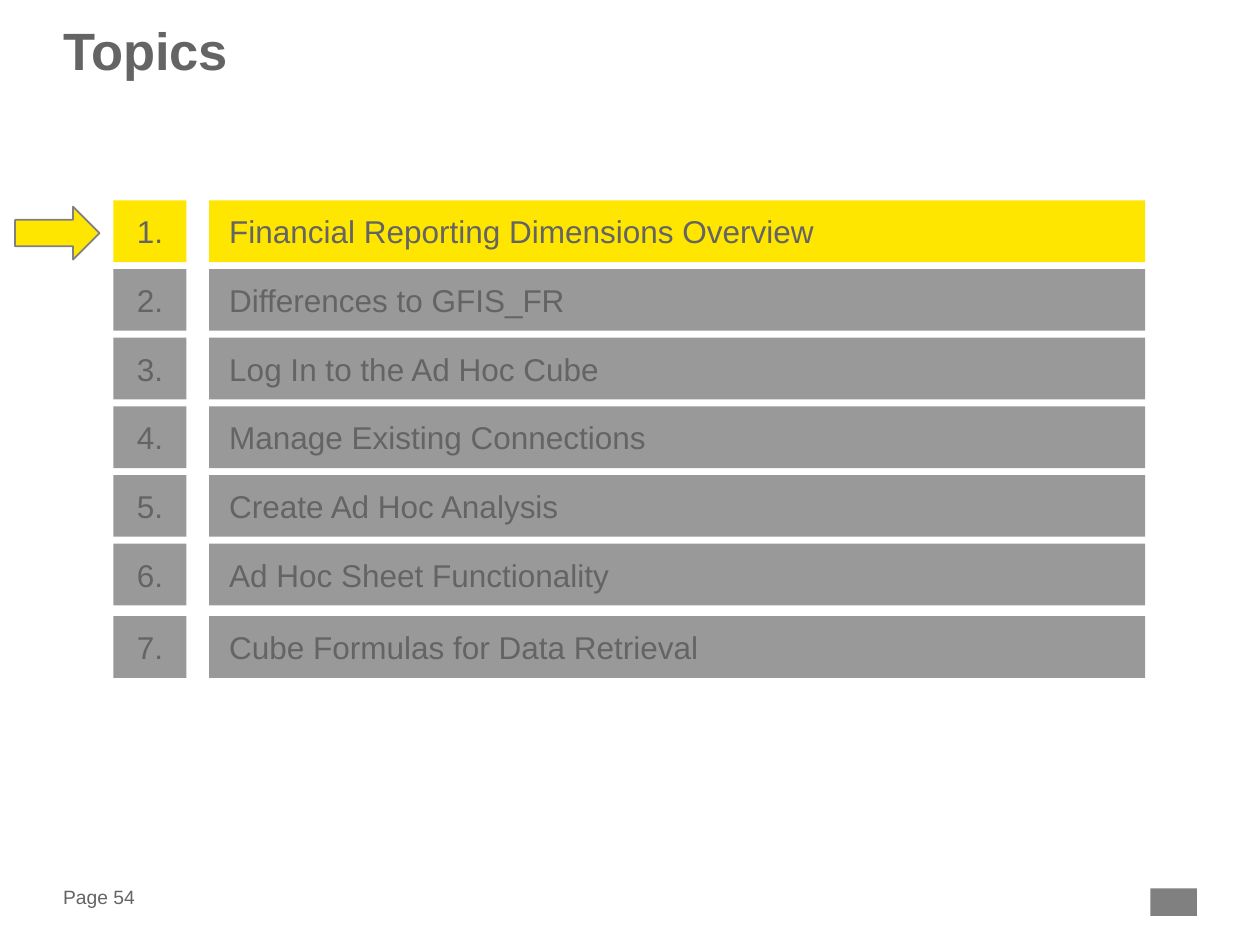
"""Build the topics slide with the first topic highlighted."""
from dataclasses import dataclass

from pptx import Presentation
from pptx.dml.color import RGBColor
from pptx.enum.shapes import MSO_SHAPE
from pptx.enum.text import MSO_ANCHOR, MSO_AUTO_SIZE, PP_ALIGN
from pptx.util import Inches, Pt

COLUMNS, ROWS = 100, 75
TOPICS = [
    "Financial Reporting Dimensions Overview",
    "Differences to GFIS_FR",
    "Log In to the Ad Hoc Cube",
    "Manage Existing Connections",
    "Create Ad Hoc Analysis",
    "Ad Hoc Sheet Functionality",
    "Cube Formulas for Data Retrieval",
]
CURRENT_TOPIC = 1
FIRST_ROW, ROW_PITCH, ROW_HEIGHT, LAST_ROW_GAP = 15.9, 5.45, 4.9, 0.3


@dataclass(frozen=True)
class Theme:
    font: str = "Arial"
    text: str = "646464"
    highlight: str = "FFE600"
    bar: str = "999999"
    outline: str = "808080"
    title_size: int = 30
    topic_size: int = 18
    footer_size: int = 11


def format_text(frame, text, size, color, font, bold=False, align=PP_ALIGN.LEFT,
                anchor=MSO_ANCHOR.MIDDLE, side=0, edge=0, spacing=None):
    frame.word_wrap = True
    frame.auto_size = MSO_AUTO_SIZE.NONE
    frame.vertical_anchor = anchor
    frame.margin_left = frame.margin_right = Inches(side)
    frame.margin_top = frame.margin_bottom = Inches(edge)
    paragraph = frame.paragraphs[0]
    paragraph.text = text
    paragraph.alignment = align
    paragraph.line_spacing = spacing
    paragraph.font.name = font
    paragraph.font.size = Pt(size)
    paragraph.font.bold = bold
    paragraph.font.color.rgb = RGBColor.from_string(color)


class SlideBuilder:
    def __init__(self, presentation, theme):
        self.theme = theme
        self.column = presentation.slide_width / COLUMNS
        self.row = presentation.slide_height / ROWS
        self.slide = presentation.slides.add_slide(presentation.slide_layouts[5])

    def place(self, left, top, width, height):
        return (round(left * self.column), round(top * self.row),
                round(width * self.column), round(height * self.row))

    def fill_text(self, shape, text, size, **text_format):
        format_text(shape.text_frame, text, size, self.theme.text,
                    self.theme.font, **text_format)

    def title(self, text, *area):
        shape = self.slide.shapes.title
        shape.left, shape.top, shape.width, shape.height = self.place(*area)
        self.fill_text(shape, text, self.theme.title_size, bold=True,
                       anchor=MSO_ANCHOR.TOP, spacing=0.85)

    def label(self, text, *area):
        shape = self.slide.shapes.add_textbox(*self.place(*area))
        self.fill_text(shape, text, self.theme.footer_size)

    def block(self, kind, fill, *area, line=None):
        shape = self.slide.shapes.add_shape(kind, *self.place(*area))
        shape.shadow.inherit = False
        shape.fill.solid()
        shape.fill.fore_color.rgb = RGBColor.from_string(fill)
        if line:
            shape.line.color.rgb = RGBColor.from_string(line)
            shape.line.width = Pt(1)
        else:
            shape.line.fill.background()
        return shape

    def topic(self, number, text, top):
        fill = self.theme.highlight if number == CURRENT_TOPIC else self.theme.bar
        number_box = self.block(MSO_SHAPE.RECTANGLE, fill, 9, top, 5.8, ROW_HEIGHT)
        self.fill_text(number_box, f"{number}.", self.theme.topic_size,
                       align=PP_ALIGN.CENTER, side=0.09, edge=0.04)
        topic_bar = self.block(MSO_SHAPE.RECTANGLE, fill, 16.6, top, 74.3, ROW_HEIGHT)
        self.fill_text(topic_bar, text, self.theme.topic_size, side=0.16, edge=0.04)


def main():
    presentation = Presentation()
    presentation.slide_width, presentation.slide_height = Inches(10), Inches(7.5)
    theme = Theme()
    builder = SlideBuilder(presentation, theme)
    builder.label("Page 54", 5, 70.1, 7.9, 2.2)
    builder.block(MSO_SHAPE.RECTANGLE, theme.outline, 91.3, 70.5, 3.7, 2.2)
    builder.title("Topics", 5, 2.2, 90, 9.4)
    for number, text in enumerate(TOPICS, 1):
        extra_gap = LAST_ROW_GAP if number == len(TOPICS) else 0
        builder.topic(number, text, FIRST_ROW + (number - 1) * ROW_PITCH + extra_gap)
    builder.block(MSO_SHAPE.RIGHT_ARROW, theme.highlight, 1.2, 16.4, 6.7, 4.2,
                  line=theme.outline)
    presentation.save("out.pptx")


if __name__ == "__main__":
    main()
